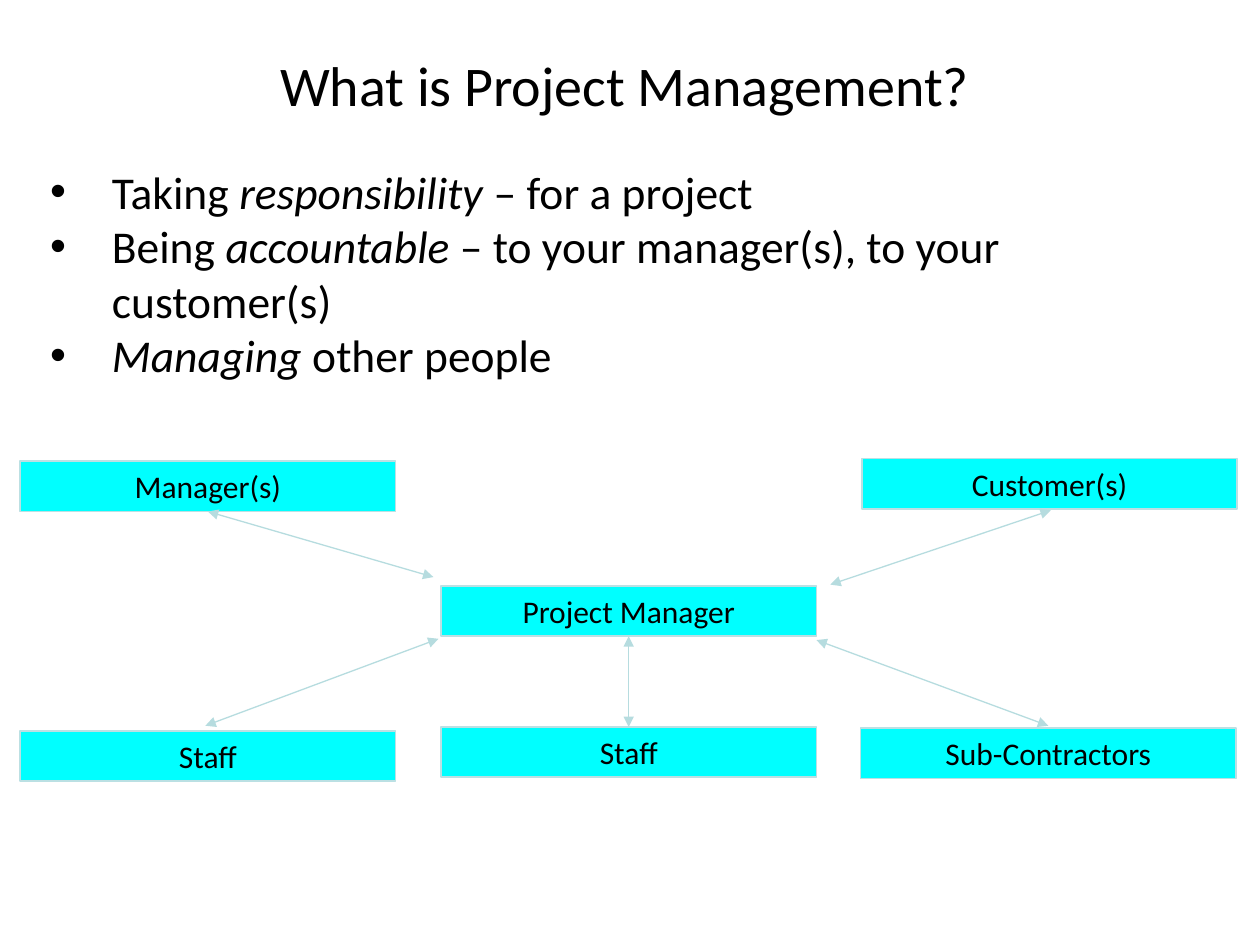
from lxml import etree
from pptx import Presentation
from pptx.dml.color import RGBColor
from pptx.enum.shapes import MSO_CONNECTOR as Connector, MSO_SHAPE as Shape
from pptx.enum.text import MSO_ANCHOR as Anchor, MSO_AUTO_SIZE as AutoSize, PP_ALIGN as Align
from pptx.oxml.ns import qn
from pptx.util import Inches, Pt

FONT = "Calibri"
BLACK, CYAN, BORDER, ARROW = "000000", "00FFFF", "BBE0E3", "B6DCDF"
ROLE_WIDTH, ROLE_HEIGHT = 2.98, 0.4

BULLETS = [
    [("Taking ", False), ("responsibility", True), (" – for a project", False)],
    [("Being ", False), ("accountable", True),
     (" – to your manager(s), to your customer(s)", False)],
    [("Managing", True), (" other people", False)],
]
ROLES = [
    ("Project Manager", 3.34, 1.01),
    ("Customer(s)", 6.68, 0),
    ("Staff", 0, 2.16),
    ("Staff", 3.34, 2.13),
    ("Sub-Contractors", 6.67, 2.14),
    ("Manager(s)", 0, 0.02),
]
LINKS = [
    ((1.49, 0.42), (3.28, 0.94)),
    ((8.18, 0.41), (6.43, 1.0)),
    ((3.32, 1.43), (1.47, 2.12)),
    ((6.32, 1.44), (8.16, 2.12)),
    ((4.83, 1.41), (4.83, 2.13)),
]


def color(value):
    """Turn a hex string into a colour."""
    return RGBColor.from_string(value)


def add_span(para, text, size, italic=False):
    """Add one run of black text to a paragraph."""
    span = para.add_run()
    span.text = text
    span.font.name = FONT
    span.font.size = Pt(size)
    span.font.italic = italic
    span.font.color.rgb = color(BLACK)


def add_bullet(para, indent):
    """Give a paragraph a round bullet and a hanging indent."""
    props = para._p.get_or_add_pPr()
    props.set("marL", str(Inches(indent)))
    props.set("indent", str(-Inches(indent)))
    etree.SubElement(props, qn("a:buFont"), typeface="Arial")
    etree.SubElement(props, qn("a:buChar"), char="•")


def add_title(page, left, top, width, height):
    """Place the centred slide title."""
    box = page.shapes.add_textbox(Inches(left), Inches(top), Inches(width), Inches(height))
    frame = box.text_frame
    frame.word_wrap = True
    frame.vertical_anchor = Anchor.MIDDLE
    frame.margin_left = frame.margin_right = frame.margin_top = frame.margin_bottom = 0
    para = frame.paragraphs[0]
    para.alignment = Align.CENTER
    add_span(para, "What is Project Management?", 32)


def add_bullets(page, left, top, width, height):
    """Place the bulleted definition."""
    box = page.shapes.add_textbox(Inches(left), Inches(top), Inches(width), Inches(height))
    frame = box.text_frame
    frame.word_wrap = True
    frame.auto_size = AutoSize.SHAPE_TO_FIT_TEXT
    for index, spans in enumerate(BULLETS):
        para = frame.add_paragraph() if index else frame.paragraphs[0]
        add_bullet(para, 0.49)
        for text, italic in spans:
            add_span(para, text, 26, italic)


def add_role(page, text, left, top):
    """Place one labelled role box."""
    box = page.shapes.add_shape(Shape.RECTANGLE, Inches(left), Inches(top),
                                Inches(ROLE_WIDTH), Inches(ROLE_HEIGHT))
    box.shadow.inherit = False
    box.fill.solid()
    box.fill.fore_color.rgb = color(CYAN)
    box.line.color.rgb = color(BORDER)
    box.line.width = Pt(1)
    frame = box.text_frame
    frame.word_wrap = True
    frame.auto_size = AutoSize.SHAPE_TO_FIT_TEXT
    frame.vertical_anchor = Anchor.TOP
    para = frame.paragraphs[0]
    para.alignment = Align.CENTER
    add_span(para, text, 18)


def add_link(page, start, end):
    """Draw a double-headed arrow between two points."""
    points = [Inches(value) for value in (*start, *end)]
    link = page.shapes.add_connector(Connector.STRAIGHT, *points)
    link.line.color.rgb = color(ARROW)
    link.line.width = Pt(0.75)
    outline = link.line._get_or_add_ln()
    for tag in ("a:headEnd", "a:tailEnd"):
        etree.SubElement(outline, qn(tag), type="triangle")
    etree.SubElement(link._element.spPr, qn("a:effectLst"))


def add_role_map(page, left, top):
    """Place the role boxes and the arrows that join them."""
    for text, x, y in ROLES:
        add_role(page, text, left + x, top + y)
    for ends in LINKS:
        start, end = [(left + x, top + y) for x, y in ends]
        add_link(page, start, end)


def main():
    """Build and save the slide."""
    deck = Presentation()
    deck.slide_width, deck.slide_height = Inches(10), Inches(7.5)
    page = deck.slides.add_slide(deck.slide_layouts[6])
    add_title(page, 0.5, 0.33, 8.92, 0.67)
    add_bullets(page, 0.3, 1.25, 9.42, 1.84)
    add_role_map(page, 0.16, 3.64)
    deck.save("out.pptx")


if __name__ == "__main__":
    main()
